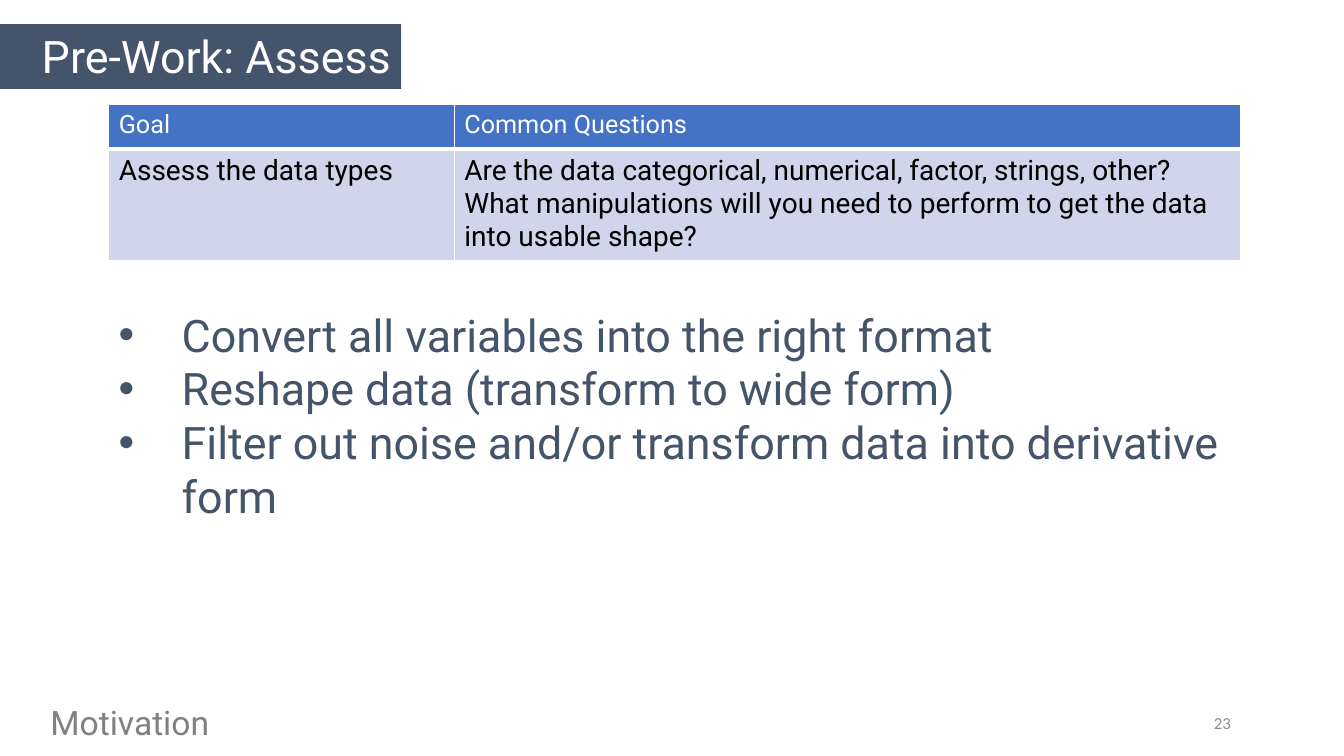
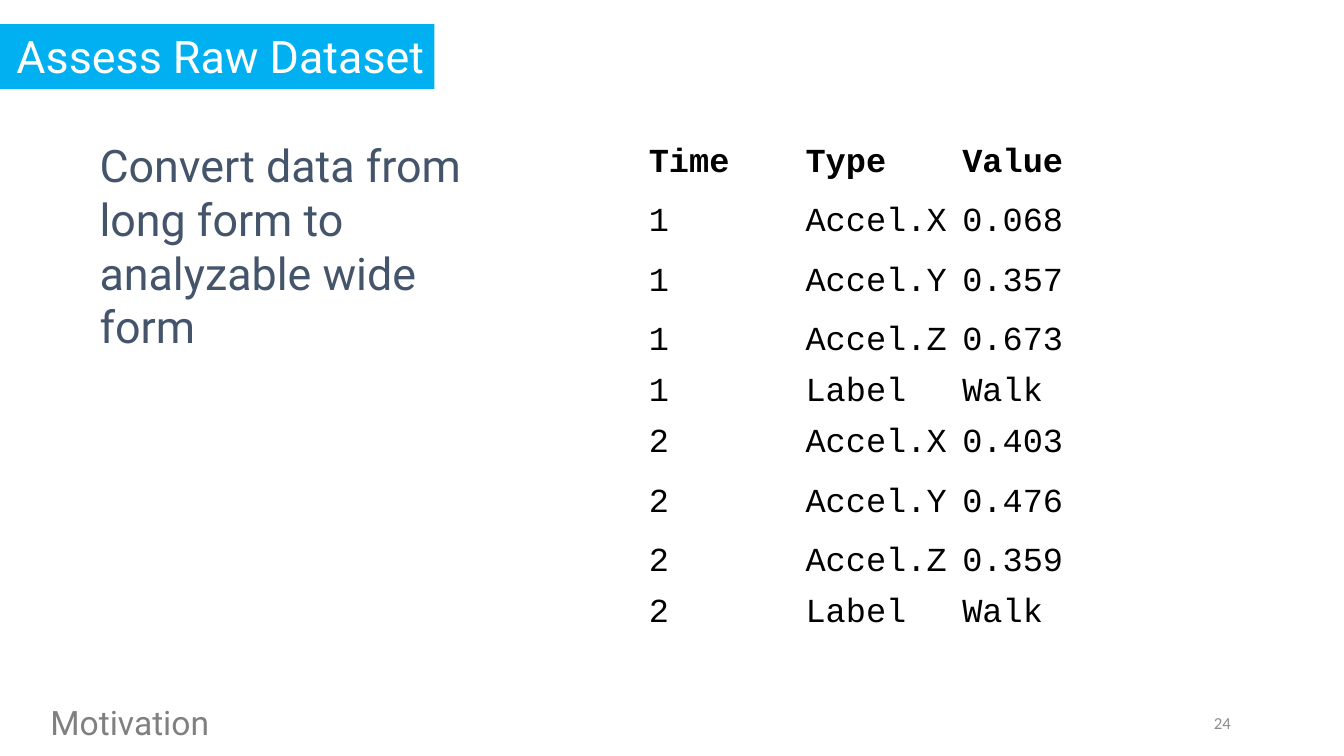
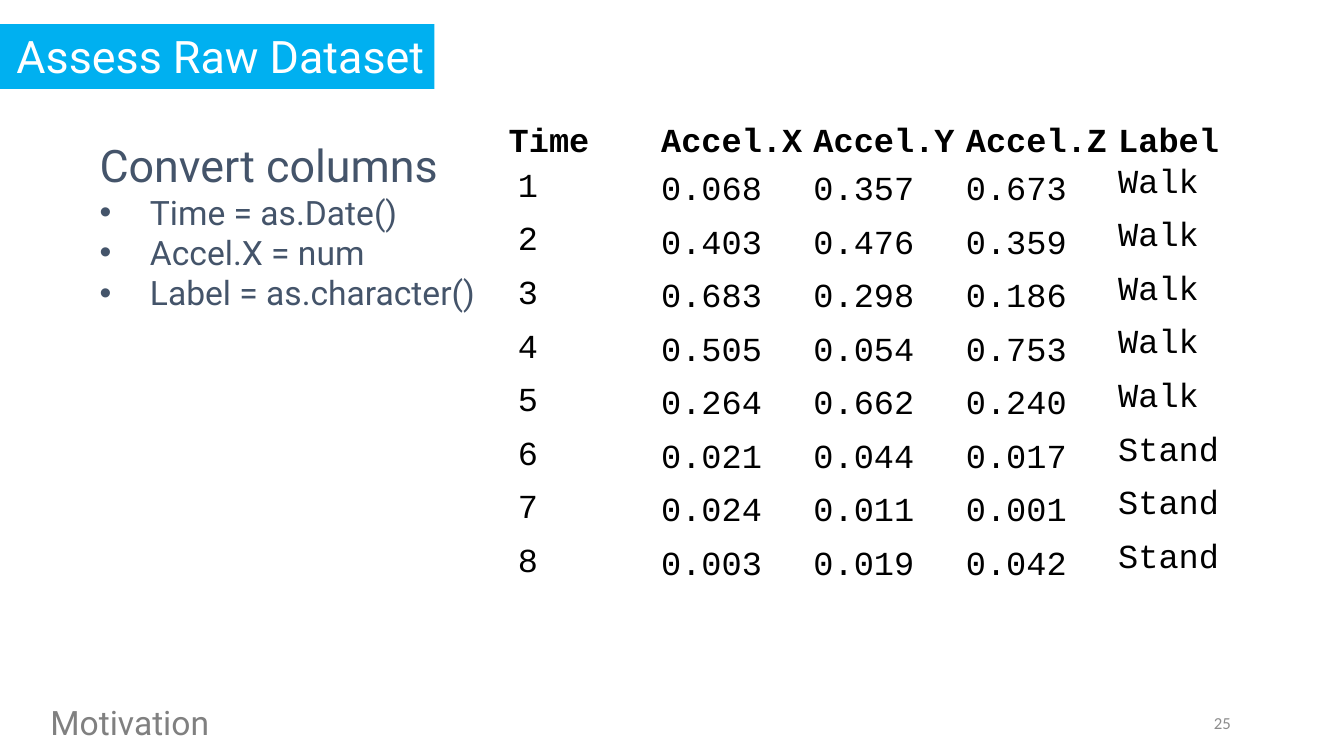
from pptx import Presentation
from pptx.dml.color import RGBColor
from pptx.enum.shapes import MSO_SHAPE
from pptx.enum.text import MSO_ANCHOR, MSO_AUTO_SIZE, PP_ALIGN
from pptx.oxml.ns import qn
from pptx.util import Cm, Pt
from lxml import etree

RECTANGLE = MSO_SHAPE.RECTANGLE
TOP, MIDDLE = MSO_ANCHOR.TOP, MSO_ANCHOR.MIDDLE
GROW = MSO_AUTO_SIZE.SHAPE_TO_FIT_TEXT
LEFT, RIGHT = PP_ALIGN.LEFT, PP_ALIGN.RIGHT

WHITE = RGBColor(0xFF, 0xFF, 0xFF)
BLACK = RGBColor(0x00, 0x00, 0x00)
SLATE = RGBColor(0x44, 0x54, 0x6A)
SKY = RGBColor(0x00, 0xB0, 0xF0)
BLUE = RGBColor(0x44, 0x72, 0xC4)
PALE_BLUE = RGBColor(0xCF, 0xD5, 0xEA)
GREY = RGBColor(0x80, 0x80, 0x80)
LIGHT_GREY = RGBColor(0x8C, 0x8C, 0x8C)

SANS, MONO, NUMBER_FONT = "Roboto", "Courier New", "Calibri"
FIRST_PAGE = 23

WIDE_HEADER = ["Time", "Accel.X", "Accel.Y", "Accel.Z", "Label"]
READINGS = [
    ["1", "0.068", "0.357", "0.673", "Walk"],
    ["2", "0.403", "0.476", "0.359", "Walk"],
    ["3", "0.683", "0.298", "0.186", "Walk"],
    ["4", "0.505", "0.054", "0.753", "Walk"],
    ["5", "0.264", "0.662", "0.240", "Walk"],
    ["6", "0.021", "0.044", "0.017", "Stand"],
    ["7", "0.024", "0.011", "0.001", "Stand"],
    ["8", "0.003", "0.019", "0.042", "Stand"],
]
LONG_ROWS = [["Time", "Type", "Value"]] + [
    [reading[0], name, value]
    for reading in READINGS[:2]
    for name, value in zip(WIDE_HEADER[1:], reading[1:])
]


class Deck:
    def __init__(self):
        self.presentation = Presentation()
        self.presentation.slide_width = Cm(33.87)
        self.presentation.slide_height = Cm(19.05)
        self.slide = None
        self.page = FIRST_PAGE

    def new_slide(self, title, color, title_width):
        self.slide = self.presentation.slides.add_slide(self.presentation.slide_layouts[6])
        self.text(str(self.page), Cm(23.65), Cm(17.7), Cm(7.62), Cm(1.02),
                  12, NUMBER_FONT, LIGHT_GREY, RIGHT, MIDDLE)
        self.text("Motivation", Cm(1.02), Cm(17.55), Cm(24.87), Cm(1.27), 24, SANS, GREY)
        self.title(title, color, title_width)
        self.page += 1

    def style(self, paragraph, size, font, color, bold=False):
        for run in paragraph.runs:
            run.font.size = Pt(size)
            run.font.name = font
            run.font.color.rgb = color
            run.font.bold = bold

    def text(self, text, left, top, width, height, size, font, color, align=LEFT, anchor=TOP):
        frame = self.slide.shapes.add_textbox(left, top, width, height).text_frame
        frame.word_wrap = True
        frame.vertical_anchor = anchor
        frame.text = text
        frame.paragraphs[0].alignment = align
        self.style(frame.paragraphs[0], size, font, color)

    def rectangle(self, text, left, top, width, height):
        shape = self.slide.shapes.add_shape(RECTANGLE, left, top, width, height)
        shape.shadow.inherit = False
        frame = shape.text_frame
        frame.word_wrap = True
        frame.auto_size = GROW
        frame.vertical_anchor = TOP
        frame.text = text
        return shape

    def title(self, text, color, width):
        shape = self.rectangle(text, Cm(-4.65), Cm(0.61), width, Cm(1.63))
        shape.fill.solid()
        shape.fill.fore_color.rgb = color
        shape.line.fill.background()
        paragraph = shape.text_frame.paragraphs[0]
        paragraph.alignment = RIGHT
        self.style(paragraph, 32, SANS, WHITE)

    def body(self, left, top, width, height, lead="", bullets=(), bullet_size=32, indent=Cm(1.27)):
        lines = ([lead] if lead else []) + list(bullets)
        shape = self.rectangle("\n".join(lines), left, top, width, height)
        shape.fill.background()
        shape.line.color.rgb = WHITE
        shape.line.width = Pt(0.75)
        for line, paragraph in zip(lines, shape.text_frame.paragraphs):
            paragraph.alignment = LEFT
            if line != lead:
                self.bullet(paragraph, indent)
            self.style(paragraph, 32 if line == lead else bullet_size, SANS, SLATE)

    def bullet(self, paragraph, indent):
        properties = paragraph._p.get_or_add_pPr()
        properties.set("marL", str(indent))
        properties.set("indent", str(-indent))
        etree.SubElement(properties, qn("a:buFont")).set("typeface", "Arial")
        etree.SubElement(properties, qn("a:buChar")).set("char", "•")

    def table(self, rows, left, top, widths, heights):
        table = self.slide.shapes.add_table(
            len(rows), len(widths), left, top, sum(widths), sum(heights)).table
        for column, width in zip(table.columns, widths):
            column.width = width
        for row, height in zip(table.rows, heights):
            row.height = height
        for row_index, values in enumerate(rows):
            for column_index, value in enumerate(values):
                cell = table.cell(row_index, column_index)
                cell.text_frame.text = value
                self.borders(cell, 3 if row_index == 0 else 1)
        return table

    def borders(self, cell, bottom_width):
        properties = cell._tc.get_or_add_tcPr()
        for index, side in enumerate("LRTB"):
            line = etree.Element(qn(f"a:ln{side}"))
            line.set("w", str(Pt(bottom_width if side == "B" else 1)))
            fill = etree.SubElement(line, qn("a:solidFill"))
            etree.SubElement(fill, qn("a:srgbClr")).set("val", str(WHITE))
            properties.insert(index, line)

    def paint(self, cell, fill, size, font, color, bold=False):
        cell.fill.solid()
        cell.fill.fore_color.rgb = fill
        for paragraph in cell.text_frame.paragraphs:
            self.style(paragraph, size, font, color, bold)

    def goal_table(self, rows, left, top, widths, heights):
        table = self.table(rows, left, top, widths, heights)
        for cell in table.rows[0].cells:
            self.paint(cell, BLUE, 18, SANS, WHITE)
        for cell in table.rows[1].cells:
            self.paint(cell, PALE_BLUE, 20, SANS, BLACK)

    def data_table(self, rows, left, top, widths, heights, padded=(), raised=()):
        table = self.table(rows, left, top, widths, heights)
        for row_index, row in enumerate(table.rows):
            for column_index, cell in enumerate(row.cells):
                header = row_index == 0
                self.paint(cell, WHITE, 24, MONO, BLACK, header)
                cell.vertical_anchor = MIDDLE if header or column_index not in raised else TOP
                if header or column_index not in padded:
                    cell.margin_left = cell.margin_right = cell.margin_top = Cm(0.02)
                    cell.margin_bottom = 0


def main():
    deck = Deck()

    deck.new_slide("Pre-Work: Assess", SLATE, Cm(14.76))
    deck.goal_table(
        [["Goal", "Common Questions"],
         ["Assess the data types",
          "Are the data categorical, numerical, factor, strings, other?\n"
          "What manipulations will you need to perform to get the data into usable shape?"]],
        Cm(2.74), Cm(2.64), [Cm(8.71), Cm(19.81)], [Cm(1.12), Cm(2.79)])
    deck.body(Cm(2.74), Cm(7.62), Cm(29.62), Cm(4.37), indent=Cm(1.59), bullets=[
        "Convert all variables into the right format",
        "Reshape data (transform to wide form)",
        "Filter out noise and/or transform data into derivative form"])

    deck.new_slide("Assess Raw Dataset", SKY, Cm(15.6))
    long_heights = [Cm(1.07) if row[1] == "Label" else Cm(1.5) for row in LONG_ROWS]
    deck.data_table(LONG_ROWS, Cm(16.33), Cm(3.35), [Cm(3.95)] * 3, long_heights)
    deck.body(Cm(2.26), Cm(3.35), Cm(10.64), Cm(4.37),
              "Convert data from long form to analyzable wide form")

    deck.new_slide("Assess Raw Dataset", SKY, Cm(15.6))
    deck.data_table([WIDE_HEADER] + READINGS, Cm(12.8), Cm(3.07), [Cm(3.84)] * 5,
                    [Cm(1.07)] + [Cm(1.35)] * len(READINGS), padded=(0,), raised=(0, 4))
    deck.body(Cm(2.26), Cm(3.35), Cm(10.54), Cm(4.7), "Convert columns", bullet_size=24, bullets=[
        "Time = as.Date()", "Accel.X = num", "Label = as.character()"])

    deck.presentation.save("out.pptx")


if __name__ == "__main__":
    main()
